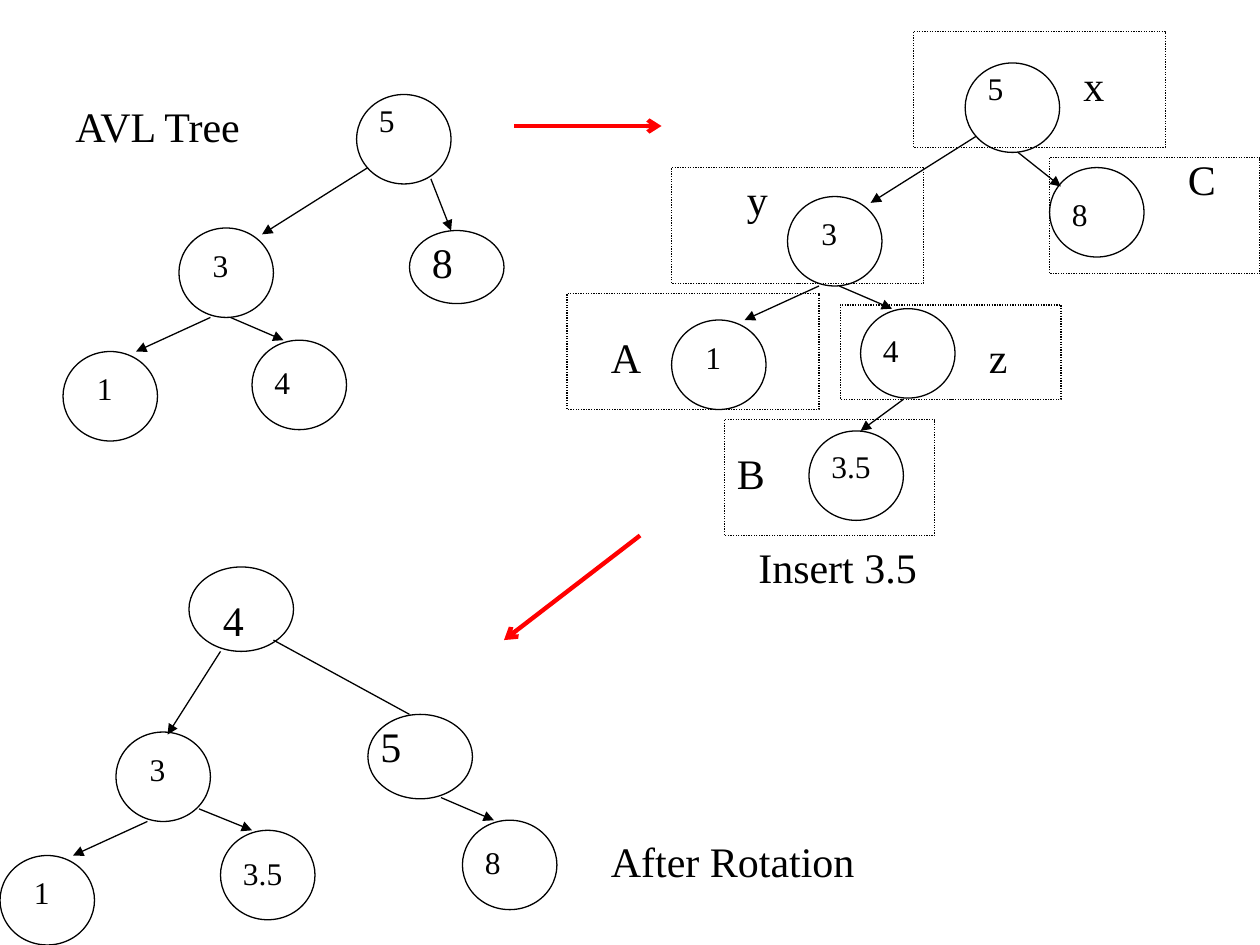
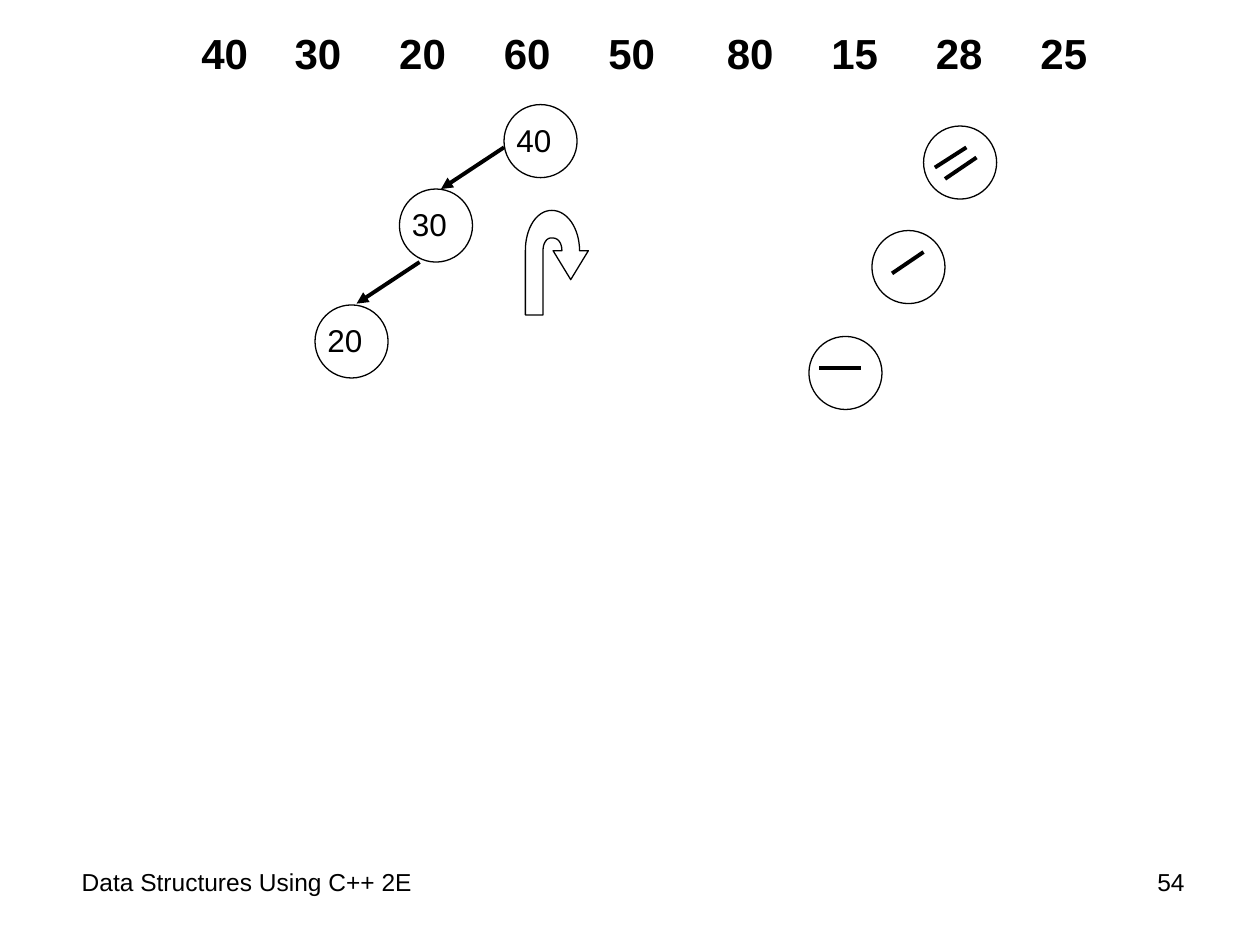
from lxml import etree
from pptx import Presentation
from pptx.dml.color import RGBColor
from pptx.enum.dml import MSO_LINE
from pptx.enum.shapes import MSO_CONNECTOR, MSO_SHAPE
from pptx.enum.text import PP_ALIGN
from pptx.oxml.ns import qn
from pptx.util import Inches, Pt

STRAIGHT = MSO_CONNECTOR.STRAIGHT
ELLIPSE = MSO_SHAPE.OVAL
RECTANGLE = MSO_SHAPE.RECTANGLE
DOTTED = MSO_LINE.ROUND_DOT
RIGHT = PP_ALIGN.RIGHT

BLACK = RGBColor(0x00, 0x00, 0x00)
WHITE = RGBColor(0xFF, 0xFF, 0xFF)
RED = RGBColor(0xFF, 0x00, 0x00)

SERIF = "Times New Roman"
SANS = "Arial"
THIN = 0.75
THICK = 2.25

SMALL_LABEL = {"name": SERIF, "size": Pt(18)}
LARGE_LABEL = {"name": SERIF, "size": Pt(24)}
KEY_LABEL = {"name": SANS, "size": Pt(18)}
SEQUENCE_FONT = {"name": SANS, "size": Pt(24), "bold": True}
FOOTER_FONT = {"name": SANS, "size": Pt(14)}

NODE = (0.75, 0.71)
FLAT_NODE = (0.75, 0.58)
WIDE_NODE = (0.83, 0.67)
KEY_NODE = (0.58, 0.58)


def add_text(slide, left, top, width, height, text, font, align=None, tab_stops=()):
    box = slide.shapes.add_textbox(
        Inches(left), Inches(top), Inches(width), Inches(height))
    box.text_frame.word_wrap = True
    paragraph = box.text_frame.paragraphs[0]
    if tab_stops:
        properties = paragraph._p.get_or_add_pPr()
        tab_list = etree.SubElement(properties, qn("a:tabLst"))
        for stop in tab_stops:
            etree.SubElement(tab_list, qn("a:tab"), pos=str(Inches(stop)), algn="l")
    if align is not None:
        paragraph.alignment = align
    run = paragraph.add_run()
    run.text = text
    for name, value in font.items():
        setattr(run.font, name, value)
    run.font.color.rgb = BLACK


def style_outline(shape, fill=None):
    shape.shadow.inherit = False
    if fill is None:
        shape.fill.background()
    else:
        shape.fill.solid()
        shape.fill.fore_color.rgb = fill
    shape.line.color.rgb = BLACK
    shape.line.width = Pt(THIN)


def add_outline(slide, kind, left, top, size, fill=None):
    shape = slide.shapes.add_shape(
        kind, Inches(left), Inches(top), Inches(size[0]), Inches(size[1]))
    style_outline(shape, fill)
    return shape


def add_line(slide, start, end, color=BLACK, width=THIN, head="triangle"):
    connector = slide.shapes.add_connector(
        STRAIGHT, *(Inches(value) for value in (*start, *end)))
    connector.line.color.rgb = color
    connector.line.width = Pt(width)
    if head:
        etree.SubElement(connector.line._get_or_add_ln(), qn("a:tailEnd"), type=head)
    etree.SubElement(connector._element.spPr, qn("a:effectLst"))


def add_tree(slide, left, top, nodes, edges):
    for x, y, label, dx, dy, size, font in nodes:
        add_outline(slide, ELLIPSE, left + x, top + y, size)
        add_text(slide, left + x + dx, top + y + dy, 0.83,
                 0.5 if font is LARGE_LABEL else 0.4, label, font)
    for x1, y1, x2, y2, head in edges:
        add_line(slide, (left + x1, top + y1), (left + x2, top + y2), head=head)


def add_left_branch(slide, left, top):
    nodes = [(0.92, 0, "3", 0.17, 0.09, NODE, SMALL_LABEL),
             (0, 0.98, "1", 0.17, 0.09, NODE, SMALL_LABEL)]
    add_tree(slide, left, top, nodes, [(1.17, 0.71, 0.58, 0.98, "triangle")])


def add_base_tree(slide, left, top):
    nodes = [(2.33, 0, "5", 0.08, 0, NODE, SMALL_LABEL),
             (1.5, 1.95, "4", 0.08, 0.13, NODE, SMALL_LABEL)]
    edges = [(2.42, 0.58, 1.58, 1.11, "triangle"),
             (1.33, 1.77, 1.75, 1.95, "triangle")]
    add_tree(slide, left, top, nodes, edges)
    add_left_branch(slide, left, top + 1.06)


def add_initial_tree(slide, left, top):
    add_base_tree(slide, left, top)
    add_tree(slide, left, top,
             [(2.75, 1.08, "8", 0.08, 0, FLAT_NODE, LARGE_LABEL)],
             [(2.92, 0.67, 3.08, 1.08, "triangle")])
    add_text(slide, left, top, 2, 0.5, "AVL Tree", LARGE_LABEL)


def add_inserted_tree(slide, left, top):
    add_base_tree(slide, left + 0.83, top + 0.25)
    nodes = [(1.92, 3.17, "3.5", 0.08, 0.08, NODE, SMALL_LABEL),
             (3.83, 1.08, "8", 0.08, 0.17, NODE, SMALL_LABEL)]
    edges = [(3.58, 0.96, 3.92, 1.23, "triangle"),
             (2.67, 2.92, 2.33, 3.17, "triangle")]
    add_tree(slide, left, top, nodes, edges)
    regions = [
        (2.75, 0, 2, 0.92, "x", 1.25, 0.17),
        (0.83, 1.08, 2, 0.92, "y", 0.5, 0),
        (0, 2.08, 2, 0.92, "A", 0.25, 0.25),
        (2.17, 2.17, 1.75, 0.75, "z", 1.08, 0.16),
        (1.25, 3.08, 1.67, 0.92, "B", 0, 0.17),
        (3.83, 1, 1.67, 0.92, "C", 1, -0.08),
    ]
    for x, y, width, height, label, dx, dy in regions:
        region = add_outline(slide, RECTANGLE, left + x, top + y, (width, height))
        region.line.dash_style = DOTTED
        add_text(slide, left + x + dx, top + y + dy, 0.67, 0.5, label, LARGE_LABEL)
    add_text(slide, left + 1.42, top + 4, 4.08, 0.5, "Insert 3.5", LARGE_LABEL)


def add_rotated_tree(slide, left, top):
    nodes = [(1.5, 0, "4", 0.17, 0.17, WIDE_NODE, LARGE_LABEL),
             (2.92, 1.17, "5", 0, 0, WIDE_NODE, LARGE_LABEL),
             (1.75, 2.09, "3.5", 0.08, 0.14, NODE, SMALL_LABEL),
             (3.67, 2.01, "8", 0.08, 0.13, NODE, SMALL_LABEL)]
    edges = [(2.17, 0.58, 3.25, 1.17, None),
             (1.75, 0.67, 1.33, 1.33, "triangle"),
             (1.58, 1.92, 2, 2.09, "triangle"),
             (3.5, 1.83, 3.92, 2.01, "triangle")]
    add_tree(slide, left, top, nodes, edges)
    add_left_branch(slide, left, top + 1.31)
    add_text(slide, left + 4.75, top + 2.08, 2.5, 0.5, "After Rotation", LARGE_LABEL)


def add_key_chain(slide, left, top):
    for x, y, key in [(1.5, 0, "40"), (0.67, 0.67, "30"), (0, 1.59, "20")]:
        add_outline(slide, ELLIPSE, left + x, top + y, KEY_NODE, WHITE)
        add_text(slide, left + x, top + y + 0.08, 0.58, 0.4, key, KEY_LABEL)
    for x, y in [(1.5, 0.34), (0.83, 1.25)]:
        add_line(slide, (left + x, top + y), (left + x - 0.5, top + y + 0.33),
                 width=THICK)


def add_balance_marks(slide, left, top):
    for x, y in [(0.91, 0), (0.5, 0.83), (0, 1.67)]:
        add_outline(slide, ELLIPSE, left + x, top + y, KEY_NODE, WHITE)
    marks = [(1.33, 0.25, 1.08, 0.42), (1.25, 0.17, 1, 0.33),
             (0.91, 1, 0.66, 1.17), (0.41, 1.92, 0.08, 1.92)]
    for x1, y1, x2, y2 in marks:
        add_line(slide, (left + x1, top + y1), (left + x2, top + y2),
                 width=THICK, head=None)


def curve_points(p0, p1, p2, p3, steps=16):
    for step in range(1, steps + 1):
        t = step / steps
        yield tuple((1 - t) ** 3 * a + 3 * (1 - t) ** 2 * t * b
                    + 3 * (1 - t) * t ** 2 * c + t ** 3 * d
                    for a, b, c, d in zip(p0, p1, p2, p3))


def add_rotation_arrow(slide, left, top):
    points = [(0.36, 0.55), (0.5, 0.32), (0.43, 0.32)]
    points += curve_points((0.43, 0.32), (0.43, 0.14), (0.33, 0), (0.21, 0))
    points += curve_points((0.21, 0), (0.09, 0), (0, 0.14), (0, 0.32))
    points += [(0, 0.83), (0.14, 0.83), (0.14, 0.32)]
    points += curve_points((0.14, 0.32), (0.14, 0.26), (0.17, 0.22), (0.2, 0.22))
    points += [(0.22, 0.22)]
    points += curve_points((0.22, 0.22), (0.26, 0.22), (0.29, 0.26), (0.29, 0.32))
    points += [(0.22, 0.32)]
    corners = [(Inches(left + x), Inches(top + y)) for x, y in points]
    builder = slide.shapes.build_freeform(*corners[0])
    builder.add_line_segments(corners[1:], close=True)
    style_outline(builder.convert_to_shape(), WHITE)


def add_footer(slide, left, top, number):
    add_text(slide, left, top, 7.5, 0.52, "Data Structures Using C++ 2E", FOOTER_FONT)
    add_text(slide, left + 8.03, top, 0.92, 0.52, number, FOOTER_FONT, RIGHT)


def build_rotation_slide(slide):
    add_initial_tree(slide, 0.5, 0.75)
    add_inserted_tree(slide, 4.5, 0.25)
    add_rotated_tree(slide, 0, 4.5)
    for start, end in [((4.08, 1), (5.25, 1)), ((5.08, 4.25), (4, 5.08))]:
        add_line(slide, start, end, RED, 2.5, "arrow")


def build_insertion_slide(slide):
    keys = ["40", "30", "20", "60", "50", "80", "15", "28", "25"]
    first_group = [0.74 + 0.83 * index for index in range(4)]
    second_group = [4.17 + 0.83 * index for index in range(4)]
    add_text(slide, 1.5, 0.17, 7.5, 0.5, "\t".join(keys), SEQUENCE_FONT,
             tab_stops=first_group + second_group)
    add_key_chain(slide, 2.5, 0.83)
    add_rotation_arrow(slide, 4.17, 1.67)
    add_balance_marks(slide, 6.42, 1)
    add_footer(slide, 0.55, 6.83, "54")


def main():
    presentation = Presentation()
    presentation.slide_width = Inches(10)
    presentation.slide_height = Inches(7.5)
    blank = presentation.slide_layouts[6]
    for build in (build_rotation_slide, build_insertion_slide):
        build(presentation.slides.add_slide(blank))
    presentation.save("out.pptx")


if __name__ == "__main__":
    main()
